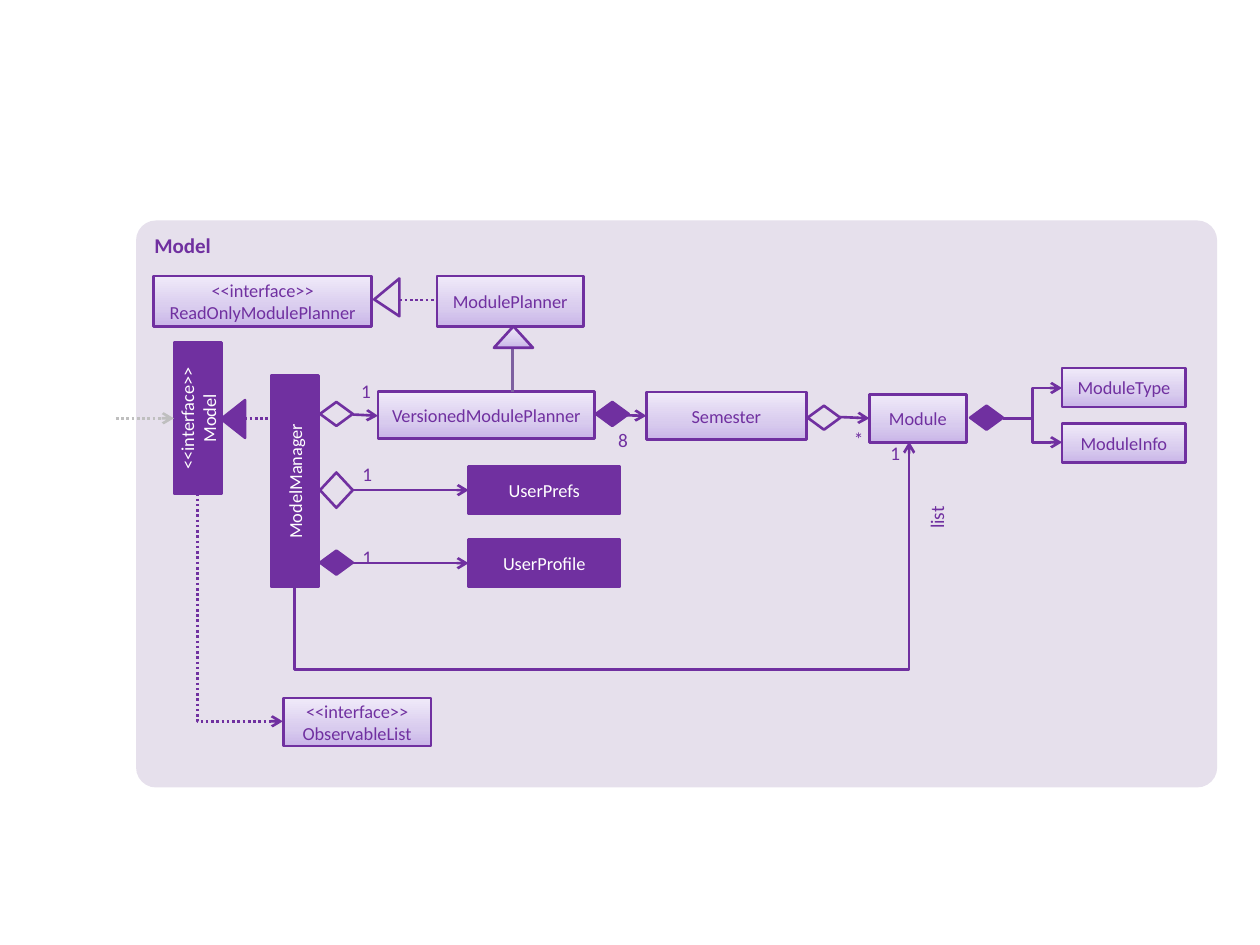
from copy import deepcopy

from lxml.etree import SubElement
from pptx import Presentation
from pptx.dml.color import RGBColor
from pptx.enum.dml import MSO_LINE
from pptx.enum.shapes import MSO_CONNECTOR, MSO_SHAPE
from pptx.enum.text import MSO_ANCHOR, PP_ALIGN
from pptx.oxml.ns import qn
from pptx.util import Inches, Pt

PURPLE = RGBColor(0x70, 0x30, 0xA0)
MUTED_PURPLE = RGBColor(0x7D, 0x60, 0xA0)
LAVENDER = RGBColor(0xE6, 0xE0, 0xEC)
GREY = RGBColor(0xBF, 0xBF, 0xBF)
WHITE = RGBColor(0xFF, 0xFF, 0xFF)
GRADIENT = [
    (0, RGBColor(0xC9, 0xB5, 0xE8)),
    (0.35, RGBColor(0xD8, 0xCB, 0xEE)),
    (1, RGBColor(0xF0, 0xEA, 0xF9)),
]
FONT = "Calibri"

# Content: places are (left, top, width, height) in inches
PACKAGE = ("Model", (1.08, 1.75, 8.58, 4.5))
SOLID_CLASSES = [  # text, place, rotation
    ("<<interface>>\nModel", (0.97, 3.13, 1.2, 0.38), 270),
    ("ModelManager", (1.5, 3.63, 1.68, 0.38), 270),
    ("UserPrefs", (3.72, 3.7, 1.2, 0.38), 0),
    ("UserProfile", (3.72, 4.28, 1.2, 0.38), 0),
]
SHADED_CLASSES = [
    ("<<interface>>\vReadOnlyModulePlanner", (1.22, 2.19, 1.73, 0.4)),
    ("ModulePlanner", (3.47, 2.19, 1.16, 0.4)),
    ("VersionedModulePlanner", (3, 3.11, 1.72, 0.37)),
    ("Semester", (5.13, 3.11, 1.27, 0.38)),
    ("Module", (6.9, 3.13, 0.77, 0.38)),
    ("ModuleType", (8.43, 2.92, 0.98, 0.31)),
    ("ModuleInfo", (8.43, 3.36, 0.98, 0.31)),
    ("<<interface>>\vObservableList", (2.25, 5.54, 1.17, 0.38)),
]
DIAMOND_WIDTH = 0.26
DIAMONDS = [  # left, top, height, fill
    (2.54, 3.19, 0.19, None),
    (2.54, 3.75, 0.28, None),
    (2.54, 4.37, 0.19, PURPLE),
    (4.73, 3.19, 0.19, PURPLE),
    (6.41, 3.22, 0.19, None),
    (7.7, 3.22, 0.19, PURPLE),
]
TRIANGLES = [  # place, rotation, fill, apex
    ((1.7, 3.23, 0.3, 0.19), 270, PURPLE, 0.5),
    ((2.92, 2.26, 0.3, 0.2), 270, LAVENDER, 0.445),
    ((3.92, 2.59, 0.31, 0.17), 0, GRADIENT, 0.5),
]
STRAIGHT, ELBOW = MSO_CONNECTOR.STRAIGHT, MSO_CONNECTOR.ELBOW
LINES = [  # kind, from, to, colour, dotted, arrow
    (STRAIGHT, (0.92, 3.32), (1.38, 3.32), GREY, True, True),
    (STRAIGHT, (1.94, 3.32), (2.18, 3.32), PURPLE, True, False),
    (STRAIGHT, (3.17, 2.38), (3.47, 2.38), PURPLE, True, False),
    (STRAIGHT, (4.07, 3.11), (4.07, 2.77), MUTED_PURPLE, False, False),
    (STRAIGHT, (2.8, 3.29), (3, 3.3), PURPLE, False, True),
    (STRAIGHT, (2.79, 3.89), (3.72, 3.89), PURPLE, False, True),
    (STRAIGHT, (2.8, 4.47), (3.72, 4.47), PURPLE, False, True),
    (STRAIGHT, (4.73, 3.29), (5.13, 3.3), PURPLE, False, True),
    (STRAIGHT, (6.67, 3.31), (6.9, 3.32), PURPLE, False, True),
    (ELBOW, (7.96, 3.32), (8.43, 3.08), PURPLE, False, True),
    (ELBOW, (7.96, 3.32), (8.43, 3.51), PURPLE, False, True),
]
TURNED_LINES = [  # place, rotation, flips, preset, adjustments, dotted
    ((1, 4.48, 1.81, 0.68), 270, ["flipH"], "bentConnector2", [], True),
    ((4.2, 1.64, 1.15, 4.88), 90, ["flipH", "flipV"], "bentConnector4",
     [-57300, 100000], False),
]
LABELS = [
    ("1", (2.81, 3.01, 0.19, 0.15)),
    ("1", (2.81, 3.67, 0.21, 0.2)),
    ("1", (2.81, 4.33, 0.21, 0.2)),
    ("8", (4.84, 3.4, 0.21, 0.2)),
    ("*", (6.71, 3.39, 0.21, 0.2)),
    ("1", (7, 3.5, 0.21, 0.2)),
]
LIST_LABEL = ("list", (7.23, 3.98, 0.41, 0.29))


def paint(shape, fill):
    if fill is None:
        shape.fill.background()
    elif fill is GRADIENT:
        shape.fill.gradient()
        shape.fill.gradient_angle = 90
        stop_list = shape.element.spPr.find(".//" + qn("a:gsLst"))
        stop_list.append(deepcopy(stop_list[0]))
        for stop, (position, color) in zip(shape.fill.gradient_stops, GRADIENT):
            stop.position = position
            stop.color.rgb = color
    else:
        shape.fill.solid()
        shape.fill.fore_color.rgb = fill


def add_shape(slide, kind, place, fill, rotation=0):
    shape = slide.shapes.add_shape(kind, *map(Inches, place))
    shape.rotation = rotation
    shape.shadow.inherit = False
    paint(shape, fill)
    shape.line.color.rgb = PURPLE
    shape.line.width = Pt(1.5)
    return shape


def write(shape, text, size, color, align=PP_ALIGN.CENTER, bold=False):
    frame = shape.text_frame
    frame.word_wrap = True
    frame.text = text
    for paragraph in frame.paragraphs:
        paragraph.alignment = align
        paragraph.font.name = FONT
        paragraph.font.size = Pt(size)
        paragraph.font.bold = bold
        paragraph.font.color.rgb = color
    return frame


def add_class(slide, text, place, fill, color, rotation=0):
    shape = add_shape(slide, MSO_SHAPE.RECTANGLE, place, fill, rotation)
    write(shape, text, 10.5, color).vertical_anchor = MSO_ANCHOR.MIDDLE


def add_line(slide, kind, start, end, color, dotted, arrow):
    connector = slide.shapes.add_connector(kind, *map(Inches, start + end))
    connector.line.color.rgb = color
    connector.line.width = Pt(1.5)
    if dotted:
        connector.line.dash_style = MSO_LINE.ROUND_DOT
    properties = connector.element.spPr
    if arrow:
        SubElement(properties.find(qn("a:ln")), qn("a:tailEnd"), type="arrow")
    SubElement(properties, qn("a:effectLst"))
    return connector


def add_turned_line(slide, place, rotation, flips, preset, adjustments, dotted):
    left, top, width, height = place
    connector = add_line(slide, ELBOW, (left, top), (left + width, top + height),
                         PURPLE, dotted, True)
    properties = connector.element.spPr
    frame = properties.find(qn("a:xfrm"))
    frame.set("rot", str(rotation * 60000))
    for flip in flips:
        frame.set(flip, "1")
    geometry = properties.find(qn("a:prstGeom"))
    geometry.set("prst", preset)
    guides = geometry.find(qn("a:avLst"))
    for number, value in enumerate(adjustments, 1):
        SubElement(guides, qn("a:gd"), name=f"adj{number}", fmla=f"val {value}")


def main():
    presentation = Presentation()
    presentation.slide_width, presentation.slide_height = Inches(10), Inches(7.5)
    slide = presentation.slides.add_slide(presentation.slide_layouts[6])

    # Package frame
    text, place = PACKAGE
    package = add_shape(slide, MSO_SHAPE.ROUNDED_RECTANGLE, place, LAVENDER)
    package.adjustments[0] = 0.035
    package.line.fill.background()
    write(package, text, 12, PURPLE, PP_ALIGN.LEFT, True).vertical_anchor = MSO_ANCHOR.TOP

    # Classes
    for text, place, rotation in SOLID_CLASSES:
        add_class(slide, text, place, PURPLE, WHITE, rotation)
    for text, place in SHADED_CLASSES:
        add_class(slide, text, place, GRADIENT, PURPLE)

    # Relations and their end symbols
    for line in LINES:
        add_line(slide, *line)
    for line in TURNED_LINES:
        add_turned_line(slide, *line)
    for left, top, height, fill in DIAMONDS:
        place = (left, top, DIAMOND_WIDTH, height)
        add_shape(slide, MSO_SHAPE.FLOWCHART_DECISION, place, fill)
    for place, rotation, fill, apex in TRIANGLES:
        triangle = add_shape(slide, MSO_SHAPE.ISOSCELES_TRIANGLE, place, fill, rotation)
        triangle.adjustments[0] = apex

    # Multiplicities and role name
    for text, place in LABELS:
        frame = write(slide.shapes.add_textbox(*map(Inches, place)), text, 11, PURPLE)
        frame.margin_left = frame.margin_right = frame.margin_top = frame.margin_bottom = 0
    text, place = LIST_LABEL
    role = slide.shapes.add_textbox(*map(Inches, place))
    role.rotation = 270
    write(role, text, 11, PURPLE, PP_ALIGN.RIGHT)

    presentation.save("out.pptx")


if __name__ == "__main__":
    main()
